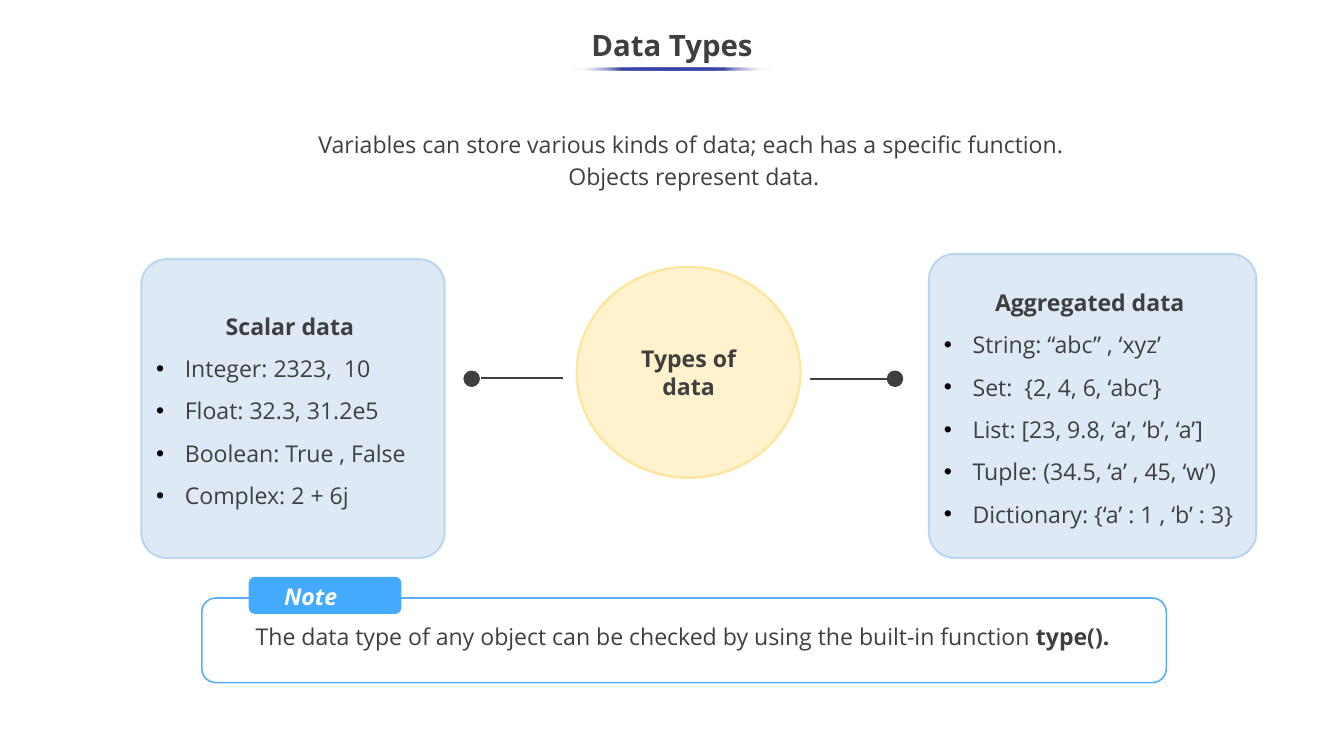
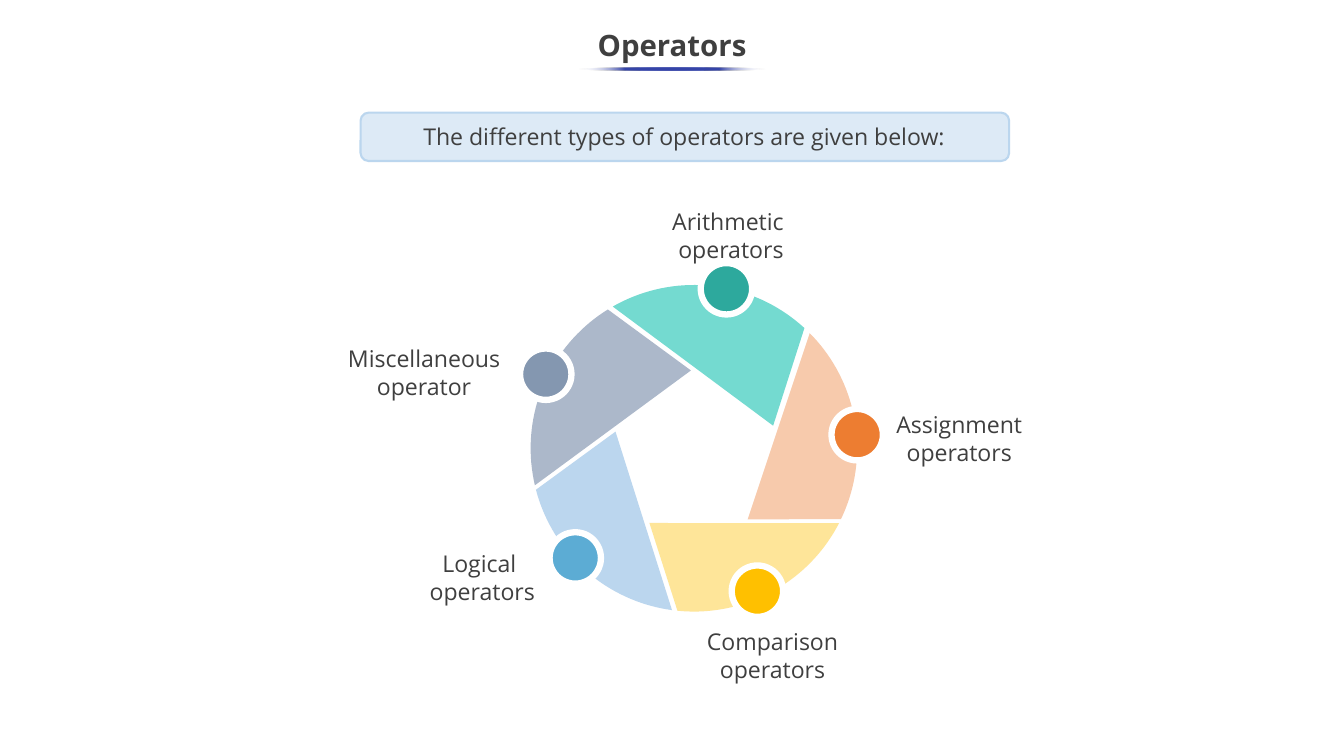
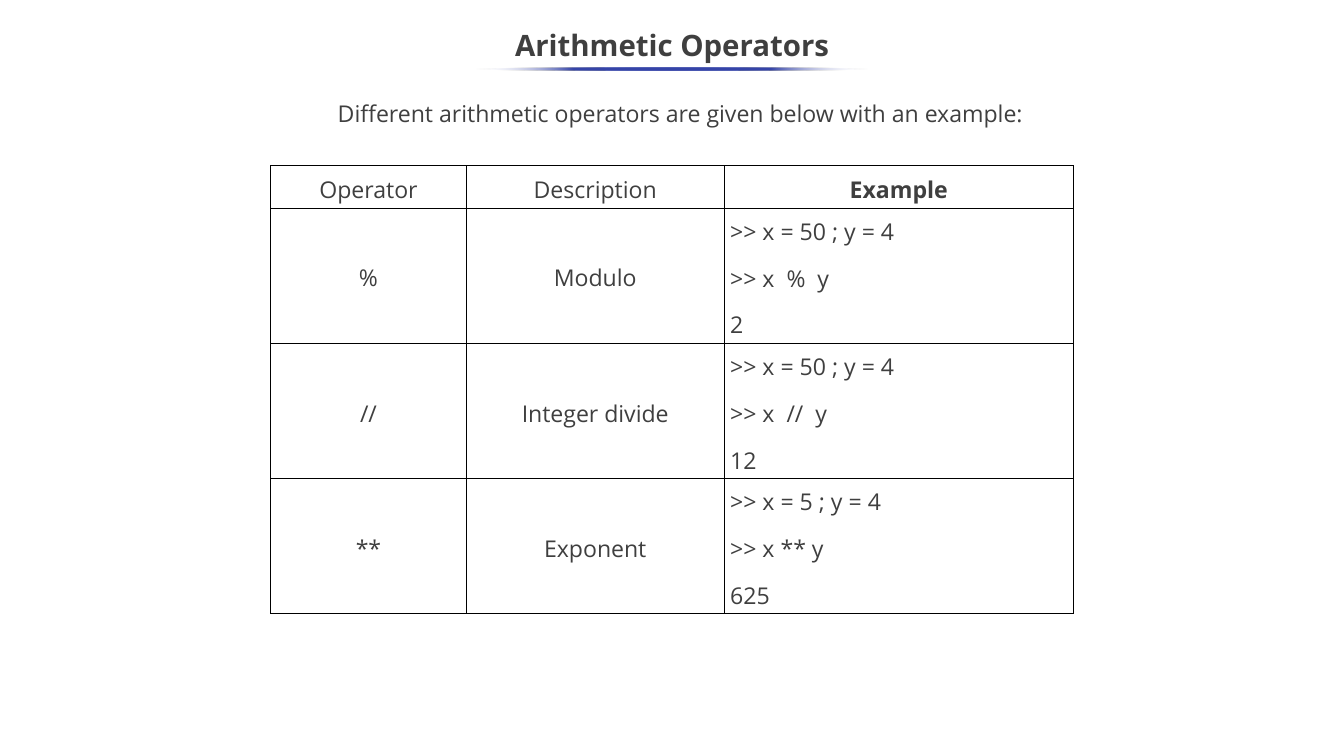
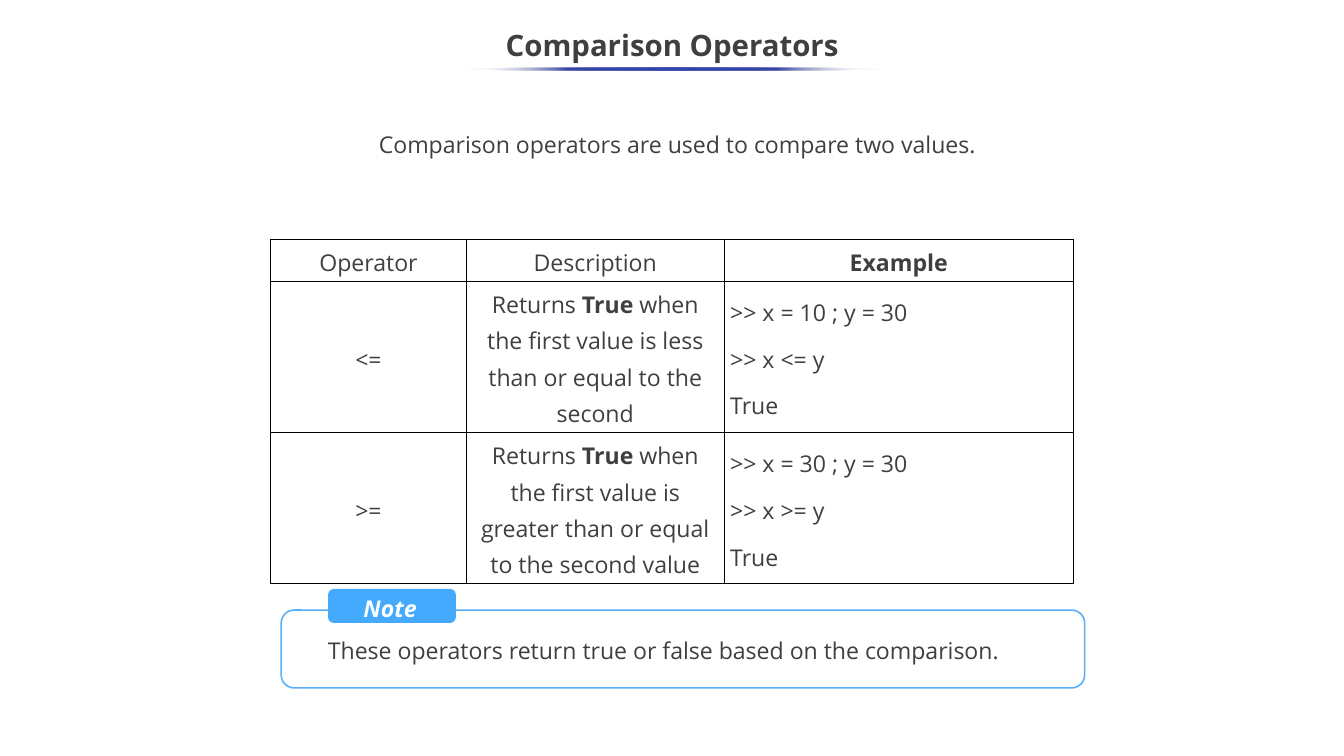
import math
from dataclasses import dataclass

from lxml import etree
from pptx import Presentation
from pptx import util as u
from pptx.dml.color import RGBColor
from pptx.enum import shapes, text
from pptx.oxml import parse_xml
from pptx.oxml.ns import nsdecls, qn


@dataclass(frozen=True)
class Theme:
    font: str = "Open Sans"
    title_size: int = 28
    body_size: int = 22
    ink: str = "3F3F3F"
    white: str = "FFFFFF"
    black: str = "000000"
    rule: str = "3645A9"
    panel: str = "DDEAF6"
    panel_edge: str = "BBD6EE"
    hub: str = "FFF2CC"
    hub_edge: str = "FEE599"
    note_edge: str = "58AFF7"
    note_tab: str = "44AAFE"
    loose: float = 1.15


THEME = Theme()
WIDTH, HEIGHT = 17.78, 10
CELL = u.Inches(1)
ALIGN = text.PP_ALIGN
ROUND = shapes.MSO_SHAPE.ROUNDED_RECTANGLE
OVAL = shapes.MSO_SHAPE.OVAL

INTRO = "Variables can store various kinds of data; each has a specific function. \nObjects represent data."
FAMILIES = [
    {"area": (1.87, 3.43, 4.01, 3.95), "heading": "Scalar data ", "line": (7.45, 6.36, 5.0), "dot": 6.24,
     "items": ["Integer: 2323,  10", "Float: 32.3, 31.2e5", "Boolean: True , False", "Complex: 2 + 6j"]},
    {"area": (12.29, 3.36, 4.33, 4.02), "heading": "Aggregated data ", "line": (10.71, 11.82, 5.01), "dot": 11.84,
     "items": ["String: “abc” , ‘xyz’", "Set:  {2, 4, 6, ‘abc’}", "List: [23, 9.8, ‘a’, ‘b’, ‘a’]",
               "Tuple: (34.5, ‘a’ , 45, ‘w’)", "Dictionary: {‘a’ : 1 , ‘b’ : 3}"]},
]

WHEEL_CENTER, WHEEL_RADIUS, KNOB_SIZE = (9.18, 5.93), 2.16, 0.68
BLADES = [
    {"label": ["Arithmetic ", "operators"], "label_at": (9.67, 3.11, 3.36), "fill": "74DAD0",
     "arc": (-119.8, -47.4), "tip": (-15.9, 1.09), "knob": "2DA99D", "knob_at": (9.61, 3.82)},
    {"label": ["Assignment operators"], "label_at": (12.69, 5.8, 2.9), "fill": "F7CAAC",
     "arc": (-44.8, 25.7), "tip": (52.9, 1.18), "knob": "ED7D31", "knob_at": (11.34, 5.75)},
    {"label": ["Comparison operators"], "label_at": (10.22, 8.67, 2.91), "fill": "FEE599",
     "arc": (27.3, 95.8), "tip": (120.8, 1.15), "knob": "FFC000", "knob_at": (10.02, 7.82)},
    {"label": ["Logical ", "operators"], "label_at": (6.38, 7.64, 2.75), "fill": "BBD6EE",
     "arc": (97.7, 165.3), "tip": (192, 1.06), "knob": "5CACD4", "knob_at": (7.61, 7.38)},
    {"label": ["Miscellaneous operator"], "label_at": (5.61, 4.92, 3.02), "fill": "ACB8CA",
     "arc": (166.9, 238.2), "tip": (267.8, 1.03), "knob": "8497B0", "knob_at": (7.22, 4.95)},
]

COLUMNS = [2.59, 3.41, 4.62]
HEADER = ["Operator", "Description", ("Example", True)]
ARITHMETIC = [
    ("%", ["Modulo"], [">> x = 50 ; y = 4", ">> x  %  y", "2"]),
    ("//", ["Integer divide"], [">> x = 50 ; y = 4", ">> x  //  y", "12"]),
    ("**", ["Exponent"], [">> x = 5 ; y = 4", ">> x ** y", "625"]),
]
COMPARISON = [
    ("<=", ["Returns ", ("True", True), " when the first value is less than or equal to the second"],
     [">> x = 10 ; y = 30", ">> x <= y", "True"]),
    (">=", ["Returns ", ("True", True), " when the first value is greater than or equal to the second value"],
     [">> x = 30 ; y = 30", ">> x >= y", "True"]),
]


def span(*cells):
    return [int(cell * CELL) for cell in cells]


def color(code):
    return RGBColor.from_string(code)


def add_runs(paragraph, runs, size, ink, italic):
    for run_text in runs:
        words, bold = run_text if isinstance(run_text, tuple) else (run_text, False)
        for index, line in enumerate(words.split("\n")):
            if index:
                paragraph.add_line_break()
            run = paragraph.add_run()
            run.text = line
            font = run.font
            font.name, font.size, font.bold, font.italic = THEME.font, u.Pt(size), bold, italic
            font.color.rgb = color(ink)


def write(frame, paragraphs, align=ALIGN.CENTER, spacing=1.0, gap=0, size=THEME.body_size,
          ink=THEME.ink, italic=False, bulleted=False):
    for index, runs in enumerate(paragraphs):
        paragraph = frame.add_paragraph() if index else frame.paragraphs[0]
        paragraph.line_spacing = spacing
        if index and gap:
            paragraph.space_before = u.Pt(gap)
        if index and bulleted:
            add_bullet(paragraph)
        else:
            paragraph.alignment = align
        add_runs(paragraph, runs, size, ink, italic)


def add_bullet(paragraph):
    paragraph.alignment = ALIGN.LEFT
    properties = paragraph._p.get_or_add_pPr()
    indent = int(0.38 * CELL)
    properties.set("marL", str(indent))
    properties.set("indent", str(-indent))
    bullet_color = etree.SubElement(properties, qn("a:buClr"))
    etree.SubElement(bullet_color, qn("a:srgbClr"), val=THEME.black)
    etree.SubElement(properties, qn("a:buFont"), typeface="Arial")
    etree.SubElement(properties, qn("a:buChar"), char="•")


def paint(shape, fill=None, edge=None, width=2):
    shape.shadow.inherit = False
    if fill:
        shape.fill.solid()
        shape.fill.fore_color.rgb = color(fill)
    else:
        shape.fill.background()
    if edge:
        shape.line.color.rgb = color(edge)
        shape.line.width = u.Pt(width)
    else:
        shape.line.fill.background()


def add_panel(slide, kind, area, fill=None, edge=None, width=2, corner=0.167):
    shape = slide.shapes.add_shape(kind, *span(*area))
    if kind == ROUND:
        shape.adjustments[0] = corner
    paint(shape, fill, edge, width)
    shape.text_frame.word_wrap = True
    shape.text_frame.vertical_anchor = text.MSO_ANCHOR.MIDDLE
    return shape


def add_disc(slide, center, size, fill, edge, width):
    x, y = center
    return add_panel(slide, OVAL, (x - size / 2, y - size / 2, size, size), fill, edge, width)


def add_text(slide, area, paragraphs, anchor=text.MSO_ANCHOR.TOP, **style):
    frame = slide.shapes.add_textbox(*span(*area)).text_frame
    frame.word_wrap = True
    frame.vertical_anchor = anchor
    write(frame, paragraphs, **style)


def add_intro(slide, area, words, **style):
    write(add_panel(slide, ROUND, area).text_frame, [[words]], **style)


def add_titled_slide(presentation, title, rule_width):
    slide = presentation.slides.add_slide(presentation.slide_layouts[6])
    add_text(slide, (0, 0.25, WIDTH, 0.75), [[(title, True)]], text.MSO_ANCHOR.MIDDLE,
             spacing=0.9, size=THEME.title_size)
    rule = slide.shapes.add_shape(OVAL, *span(WIDTH / 2 - rule_width / 2, 0.89, rule_width, 0.04))
    rule.shadow.inherit = False
    rule.line.fill.background()
    clear = f'<a:srgbClr val="{THEME.white}"><a:alpha val="0"/></a:srgbClr>'
    solid = f'<a:srgbClr val="{THEME.rule}"/>'
    stops = "".join(f'<a:gs pos="{position * 1000}">{clear if position in (0, 100) else solid}</a:gs>'
                    for position in range(0, 101, 25))
    rule._element.spPr.insert(2, parse_xml(
        f'<a:gradFill {nsdecls("a")} rotWithShape="1"><a:gsLst>{stops}</a:gsLst>'
        '<a:lin ang="10800000" scaled="0"/></a:gradFill>'))
    return slide


def add_note(slide, area, tab_size, body_area, runs, align):
    left, top = area[:2]
    add_panel(slide, ROUND, area, edge=THEME.note_edge, width=1.5)
    add_panel(slide, ROUND, (left + 0.62, top - 0.28, *tab_size), THEME.note_tab)
    add_text(slide, (left + 0.99, top - 0.25, tab_size[0] - 0.5, 0.3), [[("Note", True)]],
             align=ALIGN.LEFT, ink=THEME.white, italic=True)
    add_text(slide, body_area, [runs], align=align)


def add_line(slide, start, end, y):
    line = slide.shapes.add_connector(shapes.MSO_CONNECTOR.STRAIGHT, *span(start, y, end, y))
    line.line.color.rgb = color(THEME.ink)
    line.line.width = u.Pt(1.5)
    etree.SubElement(line._element.spPr, qn("a:effectLst"))


def wheel_point(angle, radius):
    x, y = WHEEL_CENTER
    turn = math.radians(angle)
    return tuple(span(x + radius * math.cos(turn), y + radius * math.sin(turn)))


def add_blade(slide, blade, steps=36):
    start, end = blade["arc"]
    points = [wheel_point(start + (end - start) * step / steps, WHEEL_RADIUS) for step in range(steps + 1)]
    points.append(wheel_point(*blade["tip"]))
    builder = slide.shapes.build_freeform(*points[0])
    builder.add_line_segments(points[1:], close=True)
    paint(builder.convert_to_shape(), blade["fill"])


def add_border(cell):
    properties = cell._tc.get_or_add_tcPr()
    for index, side in enumerate(("lnL", "lnR", "lnT", "lnB")):
        properties.insert(index, parse_xml(
            f'<a:{side} {nsdecls("a")} w="9525"><a:solidFill><a:srgbClr val="{THEME.black}"/>'
            f'</a:solidFill></a:{side}>'))


def add_operator_table(slide, top, row_height, rows):
    heights = [0.56] + [row_height] * len(rows)
    table = slide.shapes.add_table(len(heights), len(COLUMNS),
                                   *span(3.58, top, sum(COLUMNS), sum(heights))).table
    for column, width in zip(table.columns, COLUMNS):
        column.width = int(width * CELL)
    for row, height in zip(table.rows, heights):
        row.height = int(height * CELL)
    contents = [[[[heading]] for heading in HEADER]]
    contents += [[[[sign]], [meaning], [[line] for line in code]] for sign, meaning, code in rows]
    for row_index, row in enumerate(contents):
        for column_index, paragraphs in enumerate(row):
            cell = table.cell(row_index, column_index)
            cell.fill.background()
            cell.vertical_anchor = text.MSO_ANCHOR.MIDDLE
            cell.margin_left, cell.margin_top, cell.margin_right, cell.margin_bottom = span(0.08, 0.04, 0.08, 0.04)
            is_code = row_index and column_index == 2
            write(cell.text_frame, paragraphs, ALIGN.LEFT if is_code else ALIGN.CENTER, THEME.loose, gap=10)
            add_border(cell)


def build_data_types(presentation):
    slide = add_titled_slide(presentation, "Data Types", 2.68)
    add_intro(slide, (1.68, 1.58, 15, 1.03), INTRO, spacing=THEME.loose)
    hub = add_panel(slide, OVAL, (7.63, 3.53, 2.96, 2.79), THEME.hub, THEME.hub_edge)
    write(hub.text_frame, [[("Types of data", True)]])
    for family in FAMILIES:
        add_line(slide, *family["line"])
        add_disc(slide, (family["dot"], 5.01), 0.19, THEME.ink, THEME.ink, 2)
        panel = add_panel(slide, ROUND, family["area"], THEME.panel, THEME.panel_edge, corner=0.084)
        write(panel.text_frame, [[(family["heading"], True)]] + [[item] for item in family["items"]],
              spacing=THEME.loose, gap=10, bulleted=True)
    add_note(slide, (2.67, 7.91, 12.76, 1.12), (2.02, 0.49), (2.3, 8.19, 13.46, 0.84),
             ["The data type of any object can be checked by using the built-in function ", ("type().", True)],
             ALIGN.CENTER)


def build_operators(presentation):
    slide = add_titled_slide(presentation, "Operators", 2.47)
    add_panel(slide, ROUND, (4.77, 1.49, 8.58, 0.64), THEME.panel, THEME.panel_edge)
    add_intro(slide, (1.55, 1.29, 15, 1.03), "The different types of operators are given below:")
    for blade in BLADES:
        add_blade(slide, blade)
    for blade in BLADES:
        add_disc(slide, blade["knob_at"], KNOB_SIZE, blade["knob"], THEME.white, 6)
        x, y, width = blade["label_at"]
        add_text(slide, (x - width / 2, y - 0.42, width, 0.84), [[line] for line in blade["label"]],
                 text.MSO_ANCHOR.MIDDLE)


def build_arithmetic(presentation):
    slide = add_titled_slide(presentation, "Arithmetic Operators", 5.2)
    add_intro(slide, (3.89, 1.17, 10.22, 0.65),
              "Different arithmetic operators are given below with an example:")
    add_operator_table(slide, 2.19, 1.79, ARITHMETIC)


def build_comparison(presentation):
    slide = add_titled_slide(presentation, "Comparison Operators", 5.52)
    add_operator_table(slide, 3.16, 2, COMPARISON)
    add_intro(slide, (3.85, 1.58, 10.22, 0.65), "Comparison operators are used to compare two values.")
    add_note(slide, (3.72, 8.07, 10.63, 1.03), (1.69, 0.45), (4.24, 8.37, 9.3, 0.47),
             ["These operators return true or false based on the comparison."], ALIGN.LEFT)


def main():
    presentation = Presentation()
    presentation.slide_width, presentation.slide_height = span(WIDTH, HEIGHT)
    for build in (build_data_types, build_operators, build_arithmetic, build_comparison):
        build(presentation)
    presentation.save("out.pptx")


if __name__ == "__main__":
    main()
